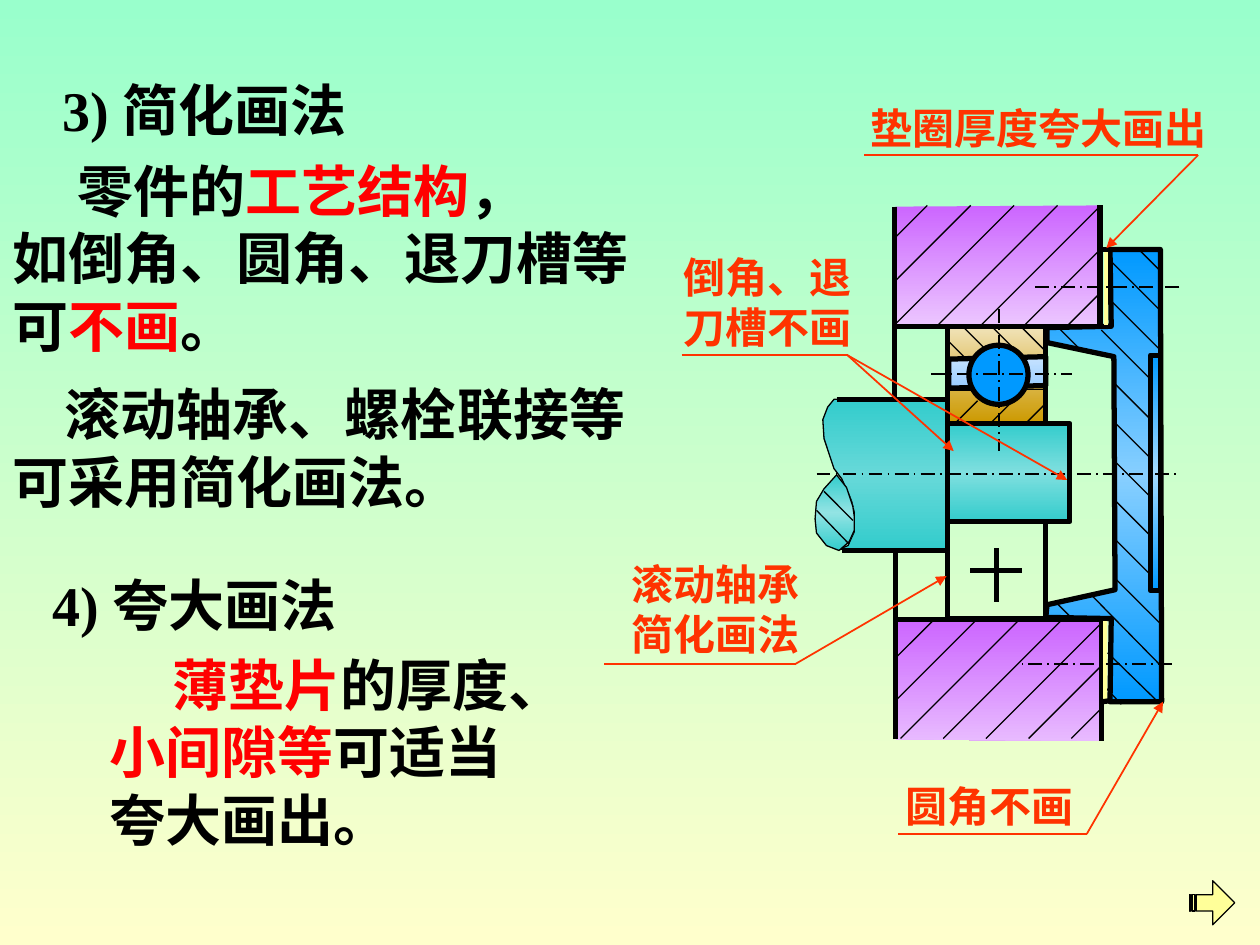
from copy import deepcopy
from dataclasses import dataclass

from lxml.etree import SubElement as Sub
from pptx import Presentation
from pptx.dml.color import RGBColor as Rgb
from pptx.enum.dml import MSO_LINE as Dash
from pptx.enum.shapes import MSO_CONNECTOR as Conn, MSO_SHAPE as Geo
from pptx.enum.text import MSO_ANCHOR as Anchor, MSO_AUTO_SIZE as Auto, PP_ALIGN as Align
from pptx.oxml.ns import qn
from pptx.util import Pt


@dataclass(frozen=True)
class Theme:
    """Hold the colours, fonts and type sizes."""
    ink: str = "000000"
    key: str = "FF0000"
    note: str = "FF3300"
    pale: str = "FFFF99"
    ball: str = "0099FF"
    sky: tuple = ("99FFCC", "FFFFCC")
    cover: tuple = ("0099FF", "87CFFF", "0099FF")
    slot: tuple = ("0099FF", "A5DBFF", "0099FF")
    neck: tuple = ("33CCCC", "7FDFDF", "33CCCC")
    shaft: tuple = ("33CCCC", "67D9D9", "33CCCC")
    cut: tuple = ("33CCCC", "93E4E4", "33CCCC")
    ring: tuple = ("F1E3B9", "CC9900")
    race: tuple = ("C7E3FF", "99CCFF")
    top: tuple = ("CC66FF", "ECC6FF")
    base: tuple = ("CC66FF", "E8BAFF")
    latin: str = "Times New Roman"
    asian: str = "Noto Sans CJK SC"
    big: int = 32
    small: int = 24
    bold: float = 3
    thin: float = 0.75
    fine: float = 1


T = Theme()


def style(obj, **vals):
    """Set each given format value on an object."""
    for key, val in vals.items():
        setattr(obj, key, val)


def paint(fill, hue):
    """Fill with nothing, one colour or an even vertical gradient."""
    if hue is None:
        fill.background()
    elif isinstance(hue, str):
        fill.solid()
        fill.fore_color.rgb = Rgb.from_string(hue)
    else:
        fill.gradient()
        fill.gradient_angle = 270
        stops = fill._xPr.find(".//" + qn("a:gsLst"))
        for _ in hue[2:]:
            stops.append(deepcopy(stops[0]))
        for i, (stop, tone) in enumerate(zip(fill.gradient_stops, hue)):
            stop.color.rgb = Rgb.from_string(tone)
            stop.position = i / (len(hue) - 1)


def write(shape, rows, size, hue, align=Align.CENTER, wrap=False, indent=0):
    """Set paragraphs in which asterisks enclose key words."""
    frame = shape.text_frame
    lift = size * 0.1
    style(frame, word_wrap=wrap, auto_size=Auto.NONE, vertical_anchor=Anchor.MIDDLE,
          margin_left=Pt(7.2), margin_right=Pt(7.2),
          margin_top=Pt(3.6 + lift), margin_bottom=Pt(3.6 - lift))
    for i, row in enumerate(rows):
        para = frame.add_paragraph() if i else frame.paragraphs[0]
        style(para, alignment=align, line_spacing=Pt(size * 1.2),
              space_before=Pt(0), space_after=Pt(0))
        if indent and not i:
            para._p.get_or_add_pPr().set("indent", str(Pt(indent)))
        for j, part in enumerate(row.split("*")):
            for k, text in enumerate(part.split("\v")):
                if k:
                    para.add_line_break()
                if text:
                    run = para.add_run()
                    run.text = text
                    style(run.font, size=Pt(size), bold=True, name=T.latin)
                    run.font.color.rgb = Rgb.from_string(T.key if j % 2 else hue)
                    Sub(run._r.get_or_add_rPr(), qn("a:ea"), typeface=T.asian)


@dataclass
class Pen:
    """Draw on a slide from the corner of a box."""
    slide: object
    x: float
    y: float

    def at(self, x, y):
        """Turn a place in the box into a place on the slide."""
        return Pt(self.x + x), Pt(self.y + y)

    def trim(self, shape, hue, width):
        """Give a shape its fill and outline."""
        shape.shadow.inherit = False
        paint(shape.fill, hue)
        paint(shape.line.fill, T.ink)
        shape.line.width = Pt(width)
        return shape

    def line(self, x1, y1, x2, y2, width=T.thin, hue=T.ink, dash=None, arrow=False):
        """Draw a straight line, with an arrowhead if asked."""
        conn = self.slide.shapes.add_connector(
            Conn.STRAIGHT, *self.at(x1, y1), *self.at(x2, y2))
        paint(conn.line.fill, hue)
        style(conn.line, width=Pt(width), dash_style=dash)
        if arrow:
            Sub(conn.line._get_or_add_ln(), qn("a:tailEnd"), type="triangle")
        Sub(conn._element.spPr, qn("a:effectLst"))

    def form(self, geo, x, y, w, h, hue, width=T.bold):
        """Draw a preset shape."""
        shape = self.slide.shapes.add_shape(geo, *self.at(x, y), Pt(w), Pt(h))
        return self.trim(shape, hue, width)

    def poly(self, spots, hue, width=T.bold, close=True):
        """Draw an outline through the given spots."""
        first, *rest = [self.at(*spot) for spot in spots]
        path = self.slide.shapes.build_freeform(*first)
        path.add_line_segments(rest, close)
        self.trim(path.convert_to_shape(), hue, width)

    def hatch(self, box, first, step, count, rise):
        """Clip evenly spaced slanting lines to a box."""
        left, top, right, foot = box
        for i in range(count):
            k = first + i * step
            ends = (k - foot, k - top) if rise else (k + top, k + foot)
            x1, x2 = max(left, ends[0]), min(right, ends[1])
            y1, y2 = (k - x1, k - x2) if rise else (x1 - k, x2 - k)
            self.line(x1, y1, x2, y2)


def head(slide, x, y, text, shape=None):
    """Place a heading, in the title placeholder if given."""
    shape = shape or slide.shapes.add_textbox(0, 0, 0, 0)
    style(shape, left=Pt(x), top=Pt(y), width=Pt(185), height=Pt(46))
    write(shape, [text], T.big, T.ink)


def body(slide, x, y, w, h, rows, indent):
    """Place a block of running text."""
    shape = slide.shapes.add_textbox(Pt(x), Pt(y), Pt(w), Pt(h))
    write(shape, rows, T.big, T.ink, Align.LEFT, True, indent)


def label(slide, x, y, w, h, rows, rule, tips, wrap=False):
    """Place a note, the rule below it and its leaders."""
    pen = Pen(slide, x, y)
    start, bend, foot = rule
    for tip in tips:
        pen.line(bend, foot, *tip, T.fine, T.note, arrow=True)
    pen.line(start, foot, bend, foot, T.fine, T.note)
    shape = slide.shapes.add_textbox(Pt(x), Pt(y), Pt(w), Pt(h))
    write(shape, rows, T.small, T.note, wrap=wrap)


def solids(pen):
    """Draw the filled parts of the bearing section."""
    rect = Geo.RECTANGLE
    pen.poly([(174.3, 42.6), (203.1, 42.6), (203.8, 301), (174.3, 301), (175, 253.5),
              (137.6, 252.8), (138.3, 245.6), (177.2, 237), (176.5, 103.8),
              (138.3, 95.8), (138.3, 87.2), (175, 86.5)], T.cover)
    pen.form(rect, 81.4, 141.9, 70, 56.2, T.neck)
    pen.poly([(16.6, 128.2), (82.2, 128.2), (82.2, 213.9), (19.5, 213.9), (24.6, 211.8),
              (28.2, 203.8), (28.2, 193), (26.7, 186.6), (25.3, 183), (21, 173.6),
              (16.6, 167.8), (10.9, 150.6), (10.2, 139.8), (13, 132.6)], T.shaft, T.thin)
    pen.form(rect, 81.4, 86.5, 56.2, 55.4, T.ring)
    pen.form(rect, 81.4, 198.1, 56.2, 55.4, None)
    pen.poly([(19.5, 214.6), (12.3, 211.8), (6.6, 204.6), (5.8, 196.6), (6.6, 186.6),
              (10.9, 179.4), (18.1, 171.4), (23.8, 178.6), (27.4, 189.4), (28.2, 195.2),
              (28.2, 203.1), (25.3, 209.6)], T.cut, T.thin)
    pen.poly([(51.9, 322.6), (51.9, 254.2), (169.3, 254.2), (169.3, 323.4)],
             T.base, close=False)
    pen.poly([(51.2, 18.1), (51.2, 86.5), (168.6, 86.5), (168.6, 17.4)],
             T.top, close=False)
    pen.form(rect, 197.4, 103, 5.8, 134.6, T.slot)
    pen.poly([(82.2, 105.2), (137.6, 103.8), (137.6, 120.3), (82.2, 121.8)], T.race)


def section(slide, x, y):
    """Draw the bearing section with hatching, edges and axes."""
    pen = Pen(slide, x, y)
    solids(pen)
    for args in [((51.2, 17.4, 168.6, 86.5), 87.3, 24.8, 7, True),
                 ((51.9, 254.2, 169.3, 322), 327.8, 24.4, 7, True),
                 ((81.4, 129, 138.3, 141.9), 227.7, 20.2, 3, True),
                 ((81.4, 87.2, 138.3, 104.5), -13, 16.6, 4, False),
                 ((174.3, 42.6, 203.1, 100.2), 103, 22.6, 3, False),
                 ((176.5, 116, 198.1, 229), -31, 22.2, 5, False)]:
        pen.hatch(*args)
    for ends in [(169.3, 88.6, 197.4, 116.7), (143.4, 85.8, 157.8, 100.2),
                 (176.5, 229.8, 203.1, 256.4), (164.2, 240.6, 203.8, 280.9),
                 (144.1, 244.9, 152.7, 253.5), (172.9, 273, 200.2, 299.6),
                 (170, 291, 180.8, 302.5), (10.9, 180.8, 27.4, 197.4),
                 (6.6, 191.6, 25.3, 211), (82.9, 105.2, 95.8, 105.2),
                 (123.9, 104.5, 139, 104.5), (125.4, 122.5, 139, 122.5),
                 (82.2, 123.2, 96.6, 123.2)]:
        pen.line(*ends)
    for ends in [(51.2, 85.8, 51.2, 128.2), (51.9, 257.8, 51.9, 213.9),
                 (138.3, 198.1, 145.5, 198.1), (137.6, 141.9, 144.8, 141.9),
                 (81.4, 139, 81.4, 202.4), (21, 214.6, 81.4, 214.6),
                 (18.1, 128.2, 80.7, 128.2), (94.4, 226.2, 123.9, 226.2),
                 (109.5, 213.2, 109.5, 244.2)]:
        pen.line(*ends, T.bold)
    pen.form(Geo.OVAL, 93.7, 97.3, 33.8, 33.8, T.ball)
    for ends in [(171.4, 255, 171.4, 301.8), (172.2, 41.8, 172.2, 85.8)]:
        pen.line(*ends, 2.25, T.pale)
    for ends in [(72.1, 113.8, 152.7, 113.8), (111, 76.4, 111, 157.8),
                 (213.9, 64.2, 129.7, 64.2), (209.6, 279.4, 123.9, 279.4),
                 (6.6, 170.7, 211.8, 170.7)]:
        pen.line(*ends, T.fine, dash=Dash.LONG_DASH_DOT)
    for ends in [(175, 300.3, 170, 301), (175.8, 42.6, 168.6, 42.6)]:
        pen.line(*ends, T.bold)


def main():
    """Build and save the slide."""
    deck = Presentation()
    style(deck, slide_width=Pt(720), slide_height=Pt(540))
    slide = deck.slides.add_slide(deck.slide_layouts[5])
    paint(slide.background.fill, T.sky)
    head(slide, 24.5, 36, "3) 简化画法", slide.shapes.title)
    head(slide, 18.7, 319, "4) 夸大画法")
    body(slide, 0, 82.8, 373, 122.4,
         ["零件的*工艺结构*，\v如倒角、圆角、退刀槽等可*不画*。"], 37)
    body(slide, 0, 210.2, 373, 84.2, ["滚动轴承、螺栓联接等可采用简化画法。"], 30)
    body(slide, 55.4, 365, 361.4, 122.4,
         ["*薄垫片*的厚度、", "*小间隙等*可适当", "夸大画出。"], 36)
    section(slide, 460, 100)
    label(slide, 349.2, 313.2, 118.8, 64.8, ["滚动轴承", "简化画法"],
          (-4, 105, 66.4), [(191.7, 16)], True)
    label(slide, 490.3, 52.6, 206, 36, ["垫圈厚度夸大画出"],
          (3.6, 194.4, 36), [(141.9, 89.2)])
    label(slide, 510.5, 440, 110, 36, ["圆角不画"],
          (2.9, 110.5, 36.6), [(154.1, -39)])
    label(slide, 377.3, 137.5, 122.4, 64.8, ["倒角、退刀槽不画"],
          (12.2, 107, 65.5), [(232.5, 136.8), (167.7, 120.3)], True)
    arrow = Pen(slide, 679.7, 503.3).form(
        Geo.STRIPED_RIGHT_ARROW, 0, 0, 25.9, 25.2, T.pale, T.thin)
    arrow.adjustments[0] = 0.37
    deck.save("out.pptx")


if __name__ == "__main__":
    main()
